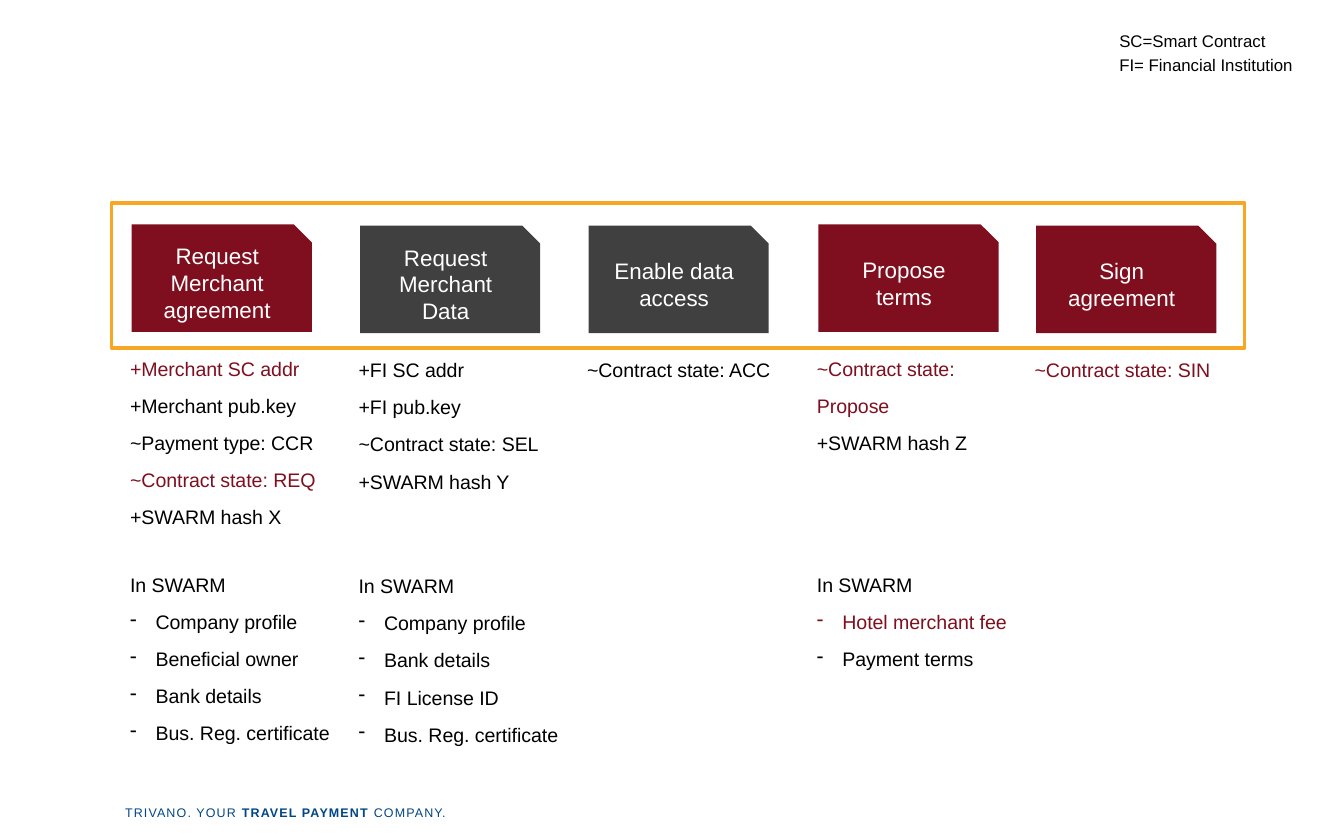
from dataclasses import dataclass

from lxml import etree
from pptx import Presentation
from pptx import util as u
from pptx.dml.color import RGBColor
from pptx.enum import shapes, text
from pptx.oxml import ns

RED = RGBColor(0x7F, 0x0F, 0x1F)
GRAY = RGBColor(0x40, 0x40, 0x40)
BLACK = RGBColor(0, 0, 0)
WHITE = RGBColor(0xFF, 0xFF, 0xFF)
ORANGE = RGBColor(0xF7, 0xA7, 0x24)
BLUE = RGBColor(0x00, 0x46, 0x87)
FONT = "Arial"
ROW_HEIGHT = 0.268
SWARM_ROW = 6
STEP_WIDTH, STEP_HEIGHT = 1.34, 0.8
TEXT_WIDTH = 1.76


@dataclass(frozen=True)
class Line:
    text: str
    color: RGBColor = BLACK
    bulleted: bool = False


@dataclass(frozen=True)
class Step:
    title: str
    left: float
    top: float
    color: RGBColor
    fields: tuple[Line, ...]
    documents: tuple[Line, ...] = ()


def document(name: str, color: RGBColor = BLACK) -> Line:
    return Line(name, color, True)


STEPS = (
    Step("Request Merchant agreement", 0.98, 1.67, RED,
         (Line("+Merchant SC addr", RED), Line("+Merchant pub.key"),
          Line("~Payment type: CCR"), Line("~Contract state: REQ", RED),
          Line("+SWARM hash X")),
         (document("Company profile"), document("Beneficial owner"),
          document("Bank details"), document("Bus. Reg. certificate"))),
    Step("Request Merchant Data", 2.68, 1.68, GRAY,
         (Line("+FI SC addr"), Line("+FI pub.key"),
          Line("~Contract state: SEL"), Line("+SWARM hash Y")),
         (document("Company profile"), document("Bank details"),
          document("FI License ID"), document("Bus. Reg. certificate"))),
    Step("Enable data access", 4.38, 1.68, GRAY,
         (Line("~Contract state: ACC"),)),
    Step("Propose terms", 6.09, 1.67, RED,
         (Line("~Contract state:", RED), Line("Propose", RED),
          Line("+SWARM hash Z")),
         (document("Hotel merchant fee", RED), document("Payment terms"))),
    Step("Sign agreement", 7.71, 1.68, RED,
         (Line("~Contract state: SIN", RED),)),
)


def set_font(font, size: float, color: RGBColor) -> None:
    font.name = FONT
    font.size = u.Pt(size)
    font.color.rgb = color


def add_bullet(paragraph) -> None:
    properties = paragraph._p.get_or_add_pPr()
    properties.set("marL", str(u.Inches(0.19)))
    properties.set("indent", str(u.Inches(-0.19)))
    bullet = etree.Element(ns.qn("a:buChar"), char="-")
    properties.insert_element_before(bullet, "a:tabLst", "a:defRPr", "a:extLst")


def add_lines(slide, left: float, top: float, width: float,
              lines: tuple[Line, ...], size: float = 10.5) -> None:
    height = 0.1 + ROW_HEIGHT * len(lines)
    box = slide.shapes.add_textbox(
        u.Inches(left), u.Inches(top), u.Inches(width), u.Inches(height))
    frame = box.text_frame
    frame.word_wrap = True
    for index, line in enumerate(lines):
        paragraph = frame.add_paragraph() if index else frame.paragraphs[0]
        paragraph.text = line.text
        paragraph.line_spacing = 1.2
        paragraph.space_before = paragraph.space_after = u.Pt(2.4)
        set_font(paragraph.font, size, line.color)
        if line.bulleted:
            add_bullet(paragraph)


def add_step(slide, step: Step) -> None:
    shape = slide.shapes.add_shape(
        shapes.MSO_SHAPE.SNIP_1_RECTANGLE, u.Inches(step.left),
        u.Inches(step.top), u.Inches(STEP_WIDTH), u.Inches(STEP_HEIGHT))
    shape.shadow.inherit = False
    shape.fill.solid()
    shape.fill.fore_color.rgb = step.color
    shape.line.fill.background()
    shape.text_frame.vertical_anchor = text.MSO_ANCHOR.MIDDLE
    paragraph = shape.text_frame.paragraphs[0]
    paragraph.text = step.title
    paragraph.alignment = text.PP_ALIGN.CENTER
    set_font(paragraph.font, 12, WHITE)

    left, top = step.left - 0.11, step.top + 0.9
    add_lines(slide, left, top, TEXT_WIDTH, step.fields)
    if step.documents:
        add_lines(slide, left, top + SWARM_ROW * ROW_HEIGHT, TEXT_WIDTH,
                  (Line("In SWARM"), *step.documents))


def add_frame(slide) -> None:
    frame = slide.shapes.add_shape(
        shapes.MSO_SHAPE.RECTANGLE, u.Inches(0.83), u.Inches(1.51),
        u.Inches(8.43), u.Inches(1.08))
    frame.shadow.inherit = False
    frame.fill.background()
    frame.line.color.rgb = ORANGE
    frame.line.width = u.Pt(2)


def add_footer(slide) -> None:
    box = slide.shapes.add_textbox(
        u.Inches(0.91), u.Inches(6), u.Inches(2.43), u.Inches(0.11))
    frame = box.text_frame
    frame.word_wrap = False
    frame.margin_left = frame.margin_right = 0
    frame.margin_top = frame.margin_bottom = 0
    paragraph = frame.paragraphs[0]
    paragraph.alignment = text.PP_ALIGN.CENTER
    paragraph.line_spacing = 0.95
    set_font(paragraph.font, 6.7, BLUE)
    for words, bold in (("TRIVANO. YOUR ", False), ("TRAVEL PAYMENT", True),
                        (" COMPANY.", False)):
        run = paragraph.add_run()
        run.text = words
        run.font.bold = bold
        run._r.get_or_add_rPr().set("spc", "60")


def main() -> None:
    presentation = Presentation()
    presentation.slide_width = u.Inches(10)
    presentation.slide_height = u.Inches(6.25)
    slide = presentation.slides.add_slide(presentation.slide_layouts[6])
    add_footer(slide)
    for step in STEPS:
        add_step(slide, step)
    add_frame(slide)
    add_lines(slide, 8.23, 0.15, 1.66,
              (Line("SC=Smart Contract\vFI= Financial Institution"),), 9)
    presentation.save("out.pptx")


if __name__ == "__main__":
    main()
